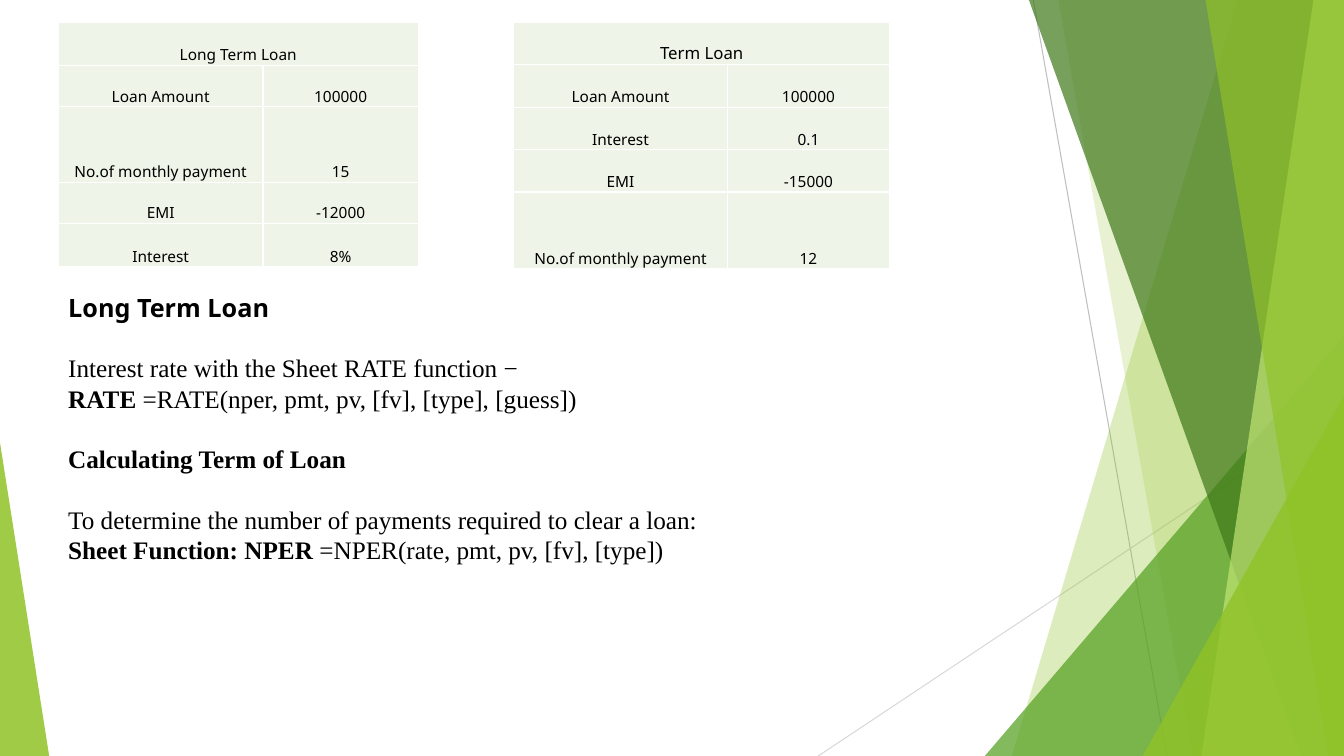
from lxml.etree import SubElement
from pptx import Presentation
from pptx.dml.color import RGBColor
from pptx.enum.shapes import MSO_CONNECTOR as Connector, MSO_SHAPE as Preset
from pptx.enum.text import MSO_ANCHOR as Anchor, PP_ALIGN as Align
from pptx.oxml.ns import qn
from pptx.util import Cm, Pt

BLACK = RGBColor(0x00, 0x00, 0x00)
CELL_GREEN = RGBColor(0xEE, 0xF4, 0xE8)
LIME = RGBColor(0x90, 0xC2, 0x26)
PALE_LIME = RGBColor(0xC0, 0xE4, 0x74)
GREEN = RGBColor(0x54, 0xA0, 0x21)
DARK_GREEN = RGBColor(0x3F, 0x78, 0x19)
GREY = RGBColor(0xBF, 0xBF, 0xBF)
LIGHT_GREY = RGBColor(0xD9, 0xD9, 0xD9)
SANS, SERIF = "Noto Sans", "Times New Roman"
WIDTH, HEIGHT = 33.87, 19.05

LINES = [
    (26.04, 0, 29.41, HEIGHT, GREY),
    (WIDTH, 10.24, 20.62, HEIGHT, LIGHT_GREY),
]
FACETS = [
    ("band", 31.19, 25.5, LIME, 30),
    ("band", 26.67, 30.05, LIME, 20),
    ("triangle", (24.82, 8.46, WIDTH), 1, GREEN, 72),
    ("band", 25.93, 32.79, DARK_GREEN, 70),
    ("band", 33.1, 30.28, PALE_LIME, 70),
    ("band", 30.38, 33.48, LIME, 65),
    ("triangle", (28.8, 9.98, WIDTH), 1, LIME, 80),
    ("triangle", (0, 11.15, 1.24), 0, LIME, 85),
]
TABLES = [
    {
        "left": 1.47, "title": "Long Term Loan", "title_size": 11,
        "columns": (5.16, 3.91), "rows": (1.09, 1.04, 1.9, 1.04, 1.09),
        "values": [("Loan Amount", "100000"), ("No.of monthly payment", "15"),
                   ("EMI", "-12000"), ("Interest", "8%")],
    },
    {
        "left": 12.95, "title": "Term Loan", "title_size": 12,
        "columns": (5.38, 4.09), "rows": (1.07, 1.07, 1.07, 1.07, 1.93),
        "values": [("Loan Amount", "100000"), ("Interest", "0.1"),
                   ("EMI", "-15000"), ("No.of monthly payment", "12")],
    },
]
TABLE_TOP = 0.56
CELL_FORMAT = {
    "vertical_anchor": Anchor.BOTTOM, "margin_left": Cm(0.03),
    "margin_right": Cm(0.03), "margin_top": Cm(0.03), "margin_bottom": 0,
}
LINE_PITCH = Pt(21.6)
NOTES_BOX = (1.47, 7.24, 24.33, 7.95)
NOTES = [
    (SANS, False, [("Long Term Loan", True)]),
    (SERIF, True, [("Interest rate with the Sheet RATE function −", False)]),
    (SERIF, False, [("RATE ", True),
                    ("=RATE(nper, pmt, pv, [fv], [type], [guess])", False)]),
    (SERIF, True, [("Calculating Term of Loan", True)]),
    (SERIF, True, [("To determine the number of payments required to clear a loan:", False)]),
    (SERIF, False, [("Sheet Function: NPER ", True),
                    ("=NPER(rate, pmt, pv, [fv], [type])", False)]),
]


def apply_format(target, values):
    for name, value in values.items():
        setattr(target, name, value)


def add_run(paragraph, text, size, font=SANS, bold=False):
    run = paragraph.add_run()
    run.text = text
    apply_format(run.font, {"name": font, "size": Pt(size), "bold": bold})
    run.font.color.rgb = BLACK


def add_line(slide, x1, y1, x2, y2, color):
    line = slide.shapes.add_connector(Connector.STRAIGHT, Cm(x1), Cm(y1), Cm(x2), Cm(y2))
    line.line.color.rgb = color
    line.line.width = Pt(0.75)
    SubElement(line._element.spPr, qn("a:effectLst"))


def add_band(slide, top_x, bottom_x):
    builder = slide.shapes.build_freeform(Cm(top_x), 0)
    corners = [(WIDTH, 0), (WIDTH, HEIGHT), (bottom_x, HEIGHT)]
    builder.add_line_segments([(Cm(x), Cm(y)) for x, y in corners], close=True)
    return builder.convert_to_shape()


def add_triangle(slide, extent, apex):
    left, top, right = extent
    shape = slide.shapes.add_shape(
        Preset.ISOSCELES_TRIANGLE, Cm(left), Cm(top), Cm(right - left), Cm(HEIGHT - top))
    shape.adjustments[0] = apex
    return shape


def add_facet(slide, kind, first, second, color, opacity):
    add_shape = add_band if kind == "band" else add_triangle
    shape = add_shape(slide, first, second)
    shape.shadow.inherit = False
    shape.line.fill.background()
    shape.fill.solid()
    shape.fill.fore_color.rgb = color
    color_element = shape._element.spPr.find(qn("a:solidFill"))[0]
    SubElement(color_element, qn("a:alpha"), val=str(opacity * 1000))


def add_loan_table(slide, loan):
    columns, rows = loan["columns"], loan["rows"]
    table = slide.shapes.add_table(
        len(rows), len(columns), Cm(loan["left"]), Cm(TABLE_TOP),
        Cm(sum(columns)), Cm(sum(rows))).table
    apply_format(table, {"first_row": False, "horz_banding": False})
    for column, width in zip(table.columns, columns):
        column.width = Cm(width)
    for row, height in zip(table.rows, rows):
        row.height = Cm(height)
    table.cell(0, 0).merge(table.cell(0, 1))
    for row, texts in enumerate([(loan["title"], ""), *loan["values"]]):
        for column, text in enumerate(texts):
            cell = table.cell(row, column)
            apply_format(cell, CELL_FORMAT)
            cell.fill.solid()
            cell.fill.fore_color.rgb = CELL_GREEN
            if text:
                paragraph = cell.text_frame.paragraphs[0]
                paragraph.alignment = Align.CENTER
                add_run(paragraph, text, 11 if row else loan["title_size"])


def add_notes(slide):
    frame = slide.shapes.add_textbox(*map(Cm, NOTES_BOX)).text_frame
    frame.word_wrap = True
    for index, (font, gap, runs) in enumerate(NOTES):
        paragraph = frame.add_paragraph() if index else frame.paragraphs[0]
        if font == SERIF:
            paragraph.line_spacing = LINE_PITCH
        if gap:
            paragraph.space_before = LINE_PITCH
        for text, bold in runs:
            add_run(paragraph, text, 18, font, bold)


def main():
    presentation = Presentation()
    apply_format(presentation, {"slide_width": Cm(WIDTH), "slide_height": Cm(HEIGHT)})
    slide = presentation.slides.add_slide(presentation.slide_layouts[6])
    for line in LINES:
        add_line(slide, *line)
    for facet in FACETS:
        add_facet(slide, *facet)
    for loan in TABLES:
        add_loan_table(slide, loan)
    add_notes(slide)
    presentation.save("out.pptx")


if __name__ == "__main__":
    main()
